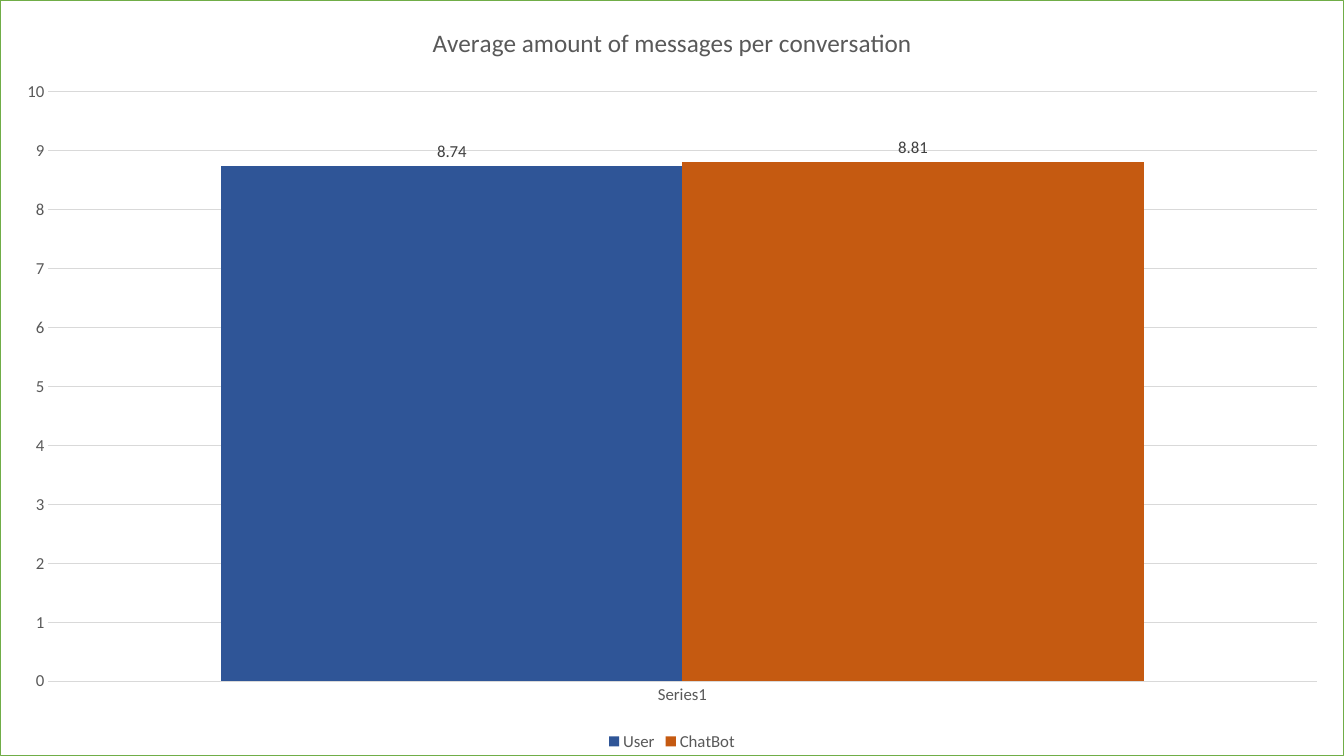
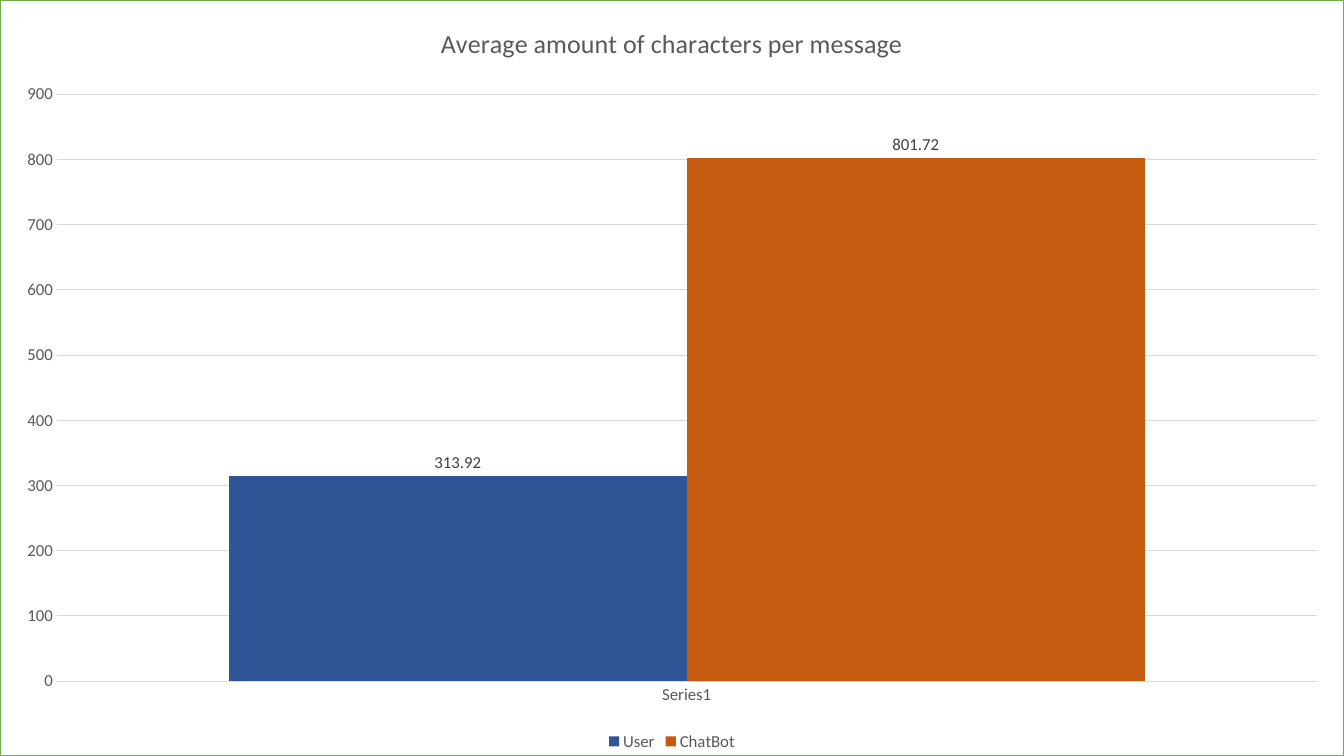
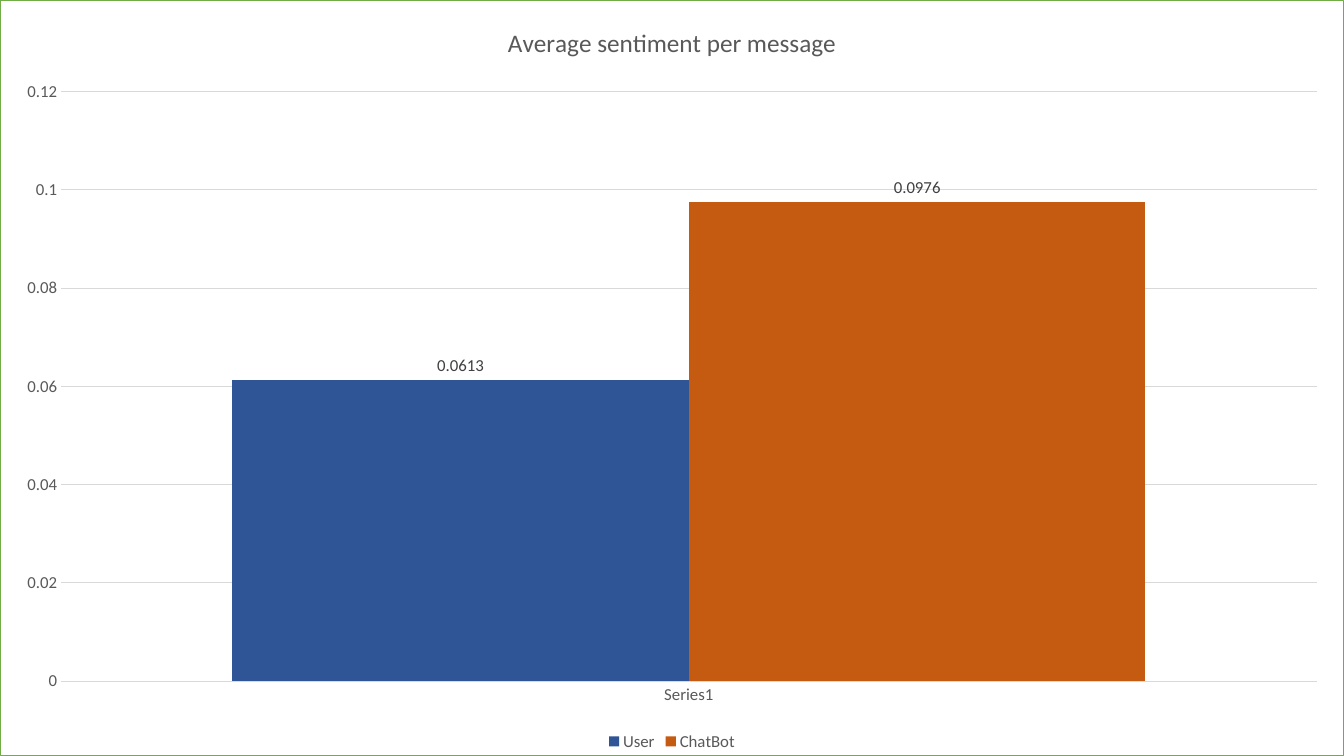
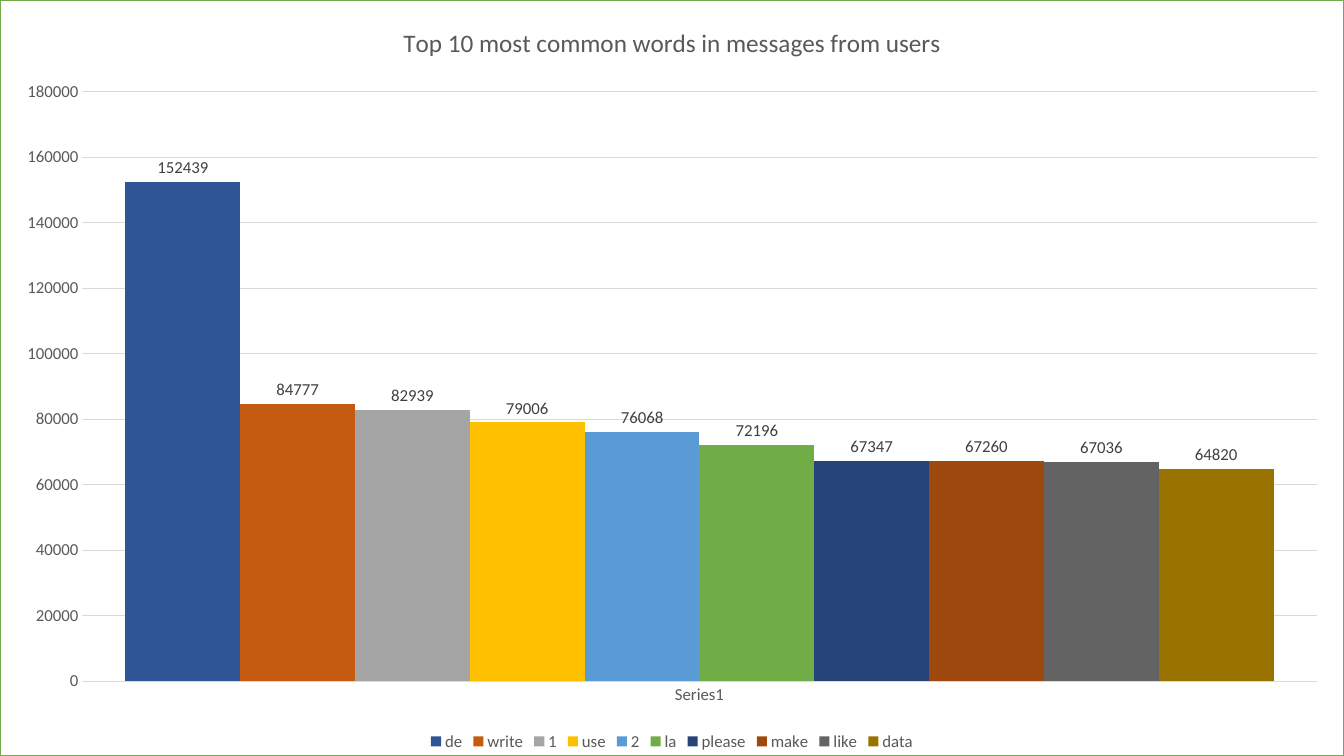
"""Build four column-chart slides about chat conversations."""
from lxml.etree import fromstring
from pptx import Presentation
from pptx.chart.data import CategoryChartData
from pptx.dml.color import RGBColor
from pptx.enum.chart import XL_CHART_TYPE, XL_LABEL_POSITION, XL_LEGEND_POSITION, XL_TICK_MARK
from pptx.oxml.ns import nsdecls, qn
from pptx.util import Emu, Pt

CHARTS = [
    ("Average amount of messages per conversation", 18, None,
     [("User", 8.74), ("ChatBot", 8.81)]),
    ("Average amount of characters per message", 18.6, None,
     [("User", 313.92), ("ChatBot", 801.72)]),
    ("Average sentiment per message", 18, None,
     [("User", 0.0613), ("ChatBot", 0.0976)]),
    ("Top 10 most common words in messages from users", 18, 180000,
     [("de", 152439), ("write", 84777), ("1", 82939), ("use", 79006), ("2", 76068),
      ("la", 72196), ("please", 67347), ("make", 67260), ("like", 67036), ("data", 64820)]),
]
CATEGORY = "Series1"
SERIES_COLORS = ["2F5597", "C55A11", "A5A5A5", "FFC000", "5B9BD5",
                 "70AD47", "264478", "9E480E", "636363", "997300"]
BORDER, GRID, TEXT, LABEL = "70AD47", "D9D9D9", "595959", "404040"
FONT = "Calibri"
WIDTH, HEIGHT = 1344, 756


def px(length):
    return Emu(round(length * 914400 / 100.8))


def color(value):
    return RGBColor.from_string(value)


def style_font(font, size, value):
    font.name, font.size, font.bold = FONT, Pt(size), False
    font.color.rgb = color(value)


def style_line(line):
    line.color.rgb = color(GRID)
    line.width = Pt(0.75)


def add_frame(chart):
    frame = fromstring(
        f'<c:spPr {nsdecls("c", "a")}>'
        '<a:solidFill><a:srgbClr val="FFFFFF"/></a:solidFill>'
        f'<a:ln w="{Pt(0.75)}"><a:solidFill><a:srgbClr val="{BORDER}"/></a:solidFill></a:ln>'
        '</c:spPr>')
    chart.element.find(qn("c:chart")).addnext(frame)


def add_title(chart, text, size):
    chart.has_title = True
    chart.chart_title.include_in_layout = False
    span = chart.chart_title.text_frame.paragraphs[0].add_run()
    span.text = text
    style_font(span.font, size, TEXT)


def style_axes(chart, maximum):
    for axis in (chart.category_axis, chart.value_axis):
        axis.major_tick_mark = axis.minor_tick_mark = XL_TICK_MARK.NONE
        style_font(axis.tick_labels.font, 12, TEXT)
    style_line(chart.category_axis.format.line)
    values = chart.value_axis
    values.format.line.fill.background()
    values.minimum_scale = 0
    if maximum:
        values.maximum_scale = maximum
    values.has_major_gridlines = True
    style_line(values.major_gridlines.format.line)


def style_columns(plot):
    plot.gap_width = 75
    plot.overlap = 0
    plot.vary_by_categories = False
    for series, value in zip(plot.series, SERIES_COLORS):
        series.format.fill.solid()
        series.format.fill.fore_color.rgb = color(value)
        labels = series.data_labels
        labels.show_value = True
        labels.position = XL_LABEL_POSITION.OUTSIDE_END
        style_font(labels.font, 12, LABEL)


def add_legend(chart):
    chart.has_legend = True
    chart.legend.position = XL_LEGEND_POSITION.BOTTOM
    chart.legend.include_in_layout = False
    style_font(chart.legend.font, 12, TEXT)


def add_chart_page(deck, title, title_size, maximum, columns):
    page = deck.slides.add_slide(deck.slide_layouts[6])
    data = CategoryChartData()
    data.categories = [CATEGORY]
    for name, value in columns:
        data.add_series(name, [value])
    chart = page.shapes.add_chart(XL_CHART_TYPE.COLUMN_CLUSTERED, 0, 0,
                                  px(WIDTH), px(HEIGHT), data).chart
    add_frame(chart)
    style_font(chart.font, 10, "000000")
    add_title(chart, title, title_size)
    style_axes(chart, maximum)
    style_columns(chart.plots[0])
    add_legend(chart)


deck = Presentation()
deck.slide_width, deck.slide_height = px(WIDTH), px(HEIGHT)
for content in CHARTS:
    add_chart_page(deck, *content)
deck.save("out.pptx")
